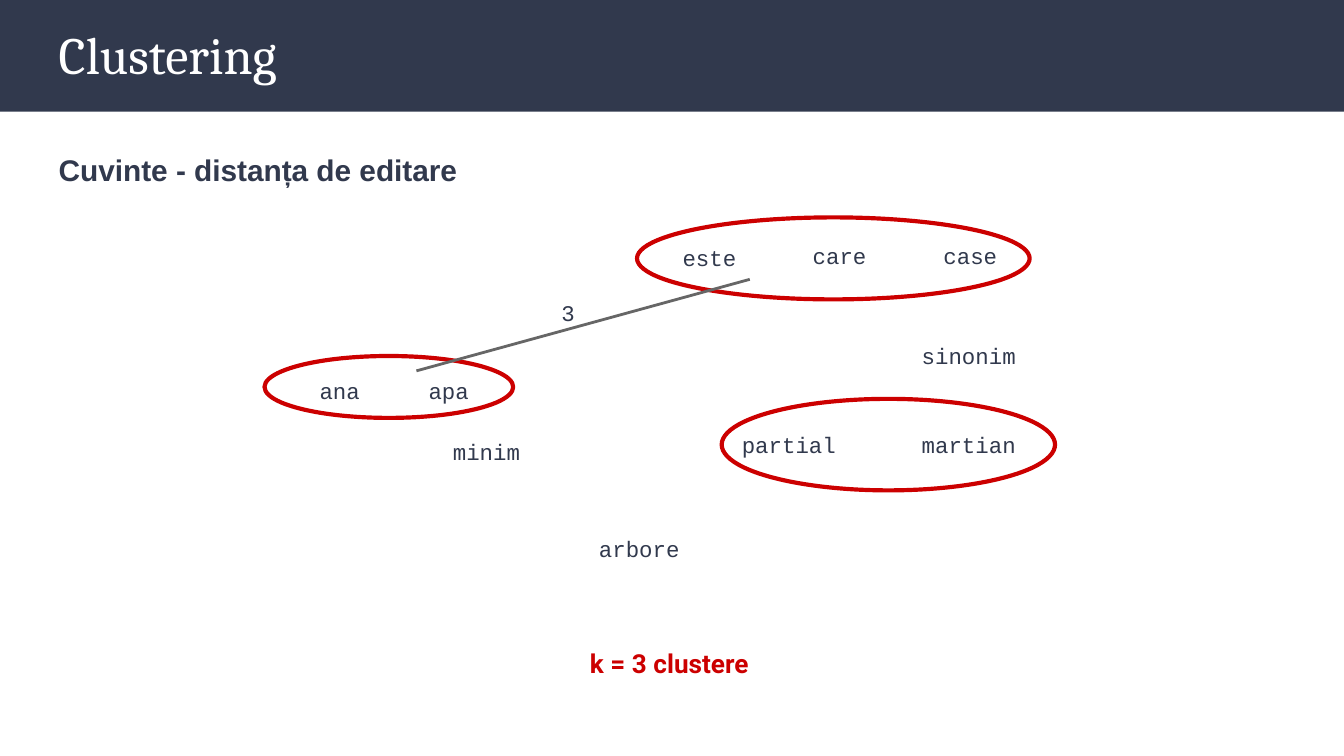
import pptx
import pptx.util
import pptx.dml.color
import pptx.enum.shapes
import pptx.enum.text
import pptx.oxml.ns
from dataclasses import dataclass
from lxml import etree

Cm = pptx.util.Cm
Pt = pptx.util.Pt
RGB = pptx.dml.color.RGBColor.from_string
SHAPE = pptx.enum.shapes.MSO_SHAPE
ANCHOR = pptx.enum.text.MSO_ANCHOR
ALIGN = pptx.enum.text.PP_ALIGN


@dataclass(frozen=True)
class Theme:
    navy: str = "31394D"
    red: str = "CC0000"
    grey: str = "666666"
    white: str = "FFFFFF"
    title: int = 28
    subtitle: int = 16
    result: int = 14
    word: int = 12
    inset: float = 0.25


T = Theme()
TITLE = {"name": "Cambria", "size": Pt(T.title), "bold": False}
SUBTITLE = {"name": "Arial", "size": Pt(T.subtitle), "bold": True}
RESULT = {"name": "Roboto", "size": Pt(T.result), "bold": True}
WORD = {"name": "Courier New", "size": Pt(T.word), "bold": False}

# Words: text, left, top, box width (cm)
WORDS = [
    ("ana", 5.79, 6.88, 1.63),
    ("apa", 7.85, 6.88, 1.63),
    ("este", 12.65, 4.37, 1.63),
    ("care", 15.11, 4.32, 1.63),
    ("case", 17.58, 4.32, 1.63),
    ("partial", 13.77, 7.9, 2.44),
    ("martian", 17.17, 7.9, 2.44),
    ("sinonim", 17.17, 6.22, 2.44),
    ("minim", 8.31, 8.03, 1.85),
    ("arbore", 11.07, 9.86, 2.44),
    ("3", 10.36, 5.41, 0.84),
]
WORD_HEIGHT = 1.02

# Clusters: left, top, width, height (cm)
CLUSTERS = [
    (12.04, 4.11, 7.42, 1.55),
    (5, 6.73, 4.7, 1.17),
    (13.64, 7.54, 6.3, 1.73),
]


def write(sp, text, font, color, anchor=ANCHOR.TOP):
    tf = sp.text_frame
    frame = {"word_wrap": True, "vertical_anchor": anchor}
    frame.update({f"margin_{side}": Cm(T.inset)
                  for side in ("left", "top", "right", "bottom")})
    for key, value in frame.items():
        setattr(tf, key, value)
    p = tf.paragraphs[0]
    p.alignment = ALIGN.LEFT
    r = p.add_run()
    r.text = text
    for key, value in font.items():
        setattr(r.font, key, value)
    r.font.color.rgb = RGB(color)
    return p


def add_title(s, text, box):
    sp = s.shapes.title
    for key, value in zip(("left", "top", "width", "height"), box):
        setattr(sp, key, Cm(value))
    write(sp, text, TITLE, T.white, ANCHOR.MIDDLE)


def add_text(s, text, box, font, color):
    sp = s.shapes.add_textbox(*map(Cm, box))
    return write(sp, text, font, color)


def add_band(s, box):
    sp = s.shapes.add_shape(SHAPE.RECTANGLE, *map(Cm, box))
    sp.shadow.inherit = False
    sp.fill.solid()
    sp.fill.fore_color.rgb = RGB(T.navy)
    sp.line.fill.background()
    # Place the band behind the title
    s.shapes.title.element.addprevious(sp.element)


def add_cluster(s, box):
    sp = s.shapes.add_shape(SHAPE.OVAL, *map(Cm, box))
    sp.shadow.inherit = False
    sp.fill.background()
    sp.line.color.rgb = RGB(T.red)
    sp.line.width = Pt(2.25)


def add_distance(s, ends):
    line = s.shapes.add_connector(
        pptx.enum.shapes.MSO_CONNECTOR.STRAIGHT, *map(Cm, ends))
    line.line.color.rgb = RGB(T.grey)
    line.line.width = Pt(1.5)
    etree.SubElement(line.element.spPr, pptx.oxml.ns.qn("a:effectLst"))


def main():
    prs = pptx.Presentation()
    prs.slide_width, prs.slide_height = Cm(25.4), Cm(14.29)
    s = prs.slides.add_slide(prs.slide_layouts[5])

    # Header
    add_band(s, (0, 0, 25.4, 2.11))
    add_title(s, "Clustering", (0.86, 0.15, 23.67, 1.73))

    # Subtitle
    p = add_text(s, "Cuvinte - distanța de editare",
                 (0.86, 2.51, 23.67, 10.44), SUBTITLE, T.navy)
    p.line_spacing = 1.15
    p.space_after = Pt(12)

    # Clusters and the distance between two of them
    for box in CLUSTERS:
        add_cluster(s, box)
    add_distance(s, (7.87, 7.01, 14.17, 5.28))

    # Words
    for text, left, top, width in WORDS:
        add_text(s, text, (left, top, width, WORD_HEIGHT), WORD, T.navy)

    # Result
    add_text(s, "k = 3 clustere", (10.9, 11.99, 3.58, 1.12), RESULT, T.red)

    prs.save("out.pptx")


if __name__ == "__main__":
    main()
